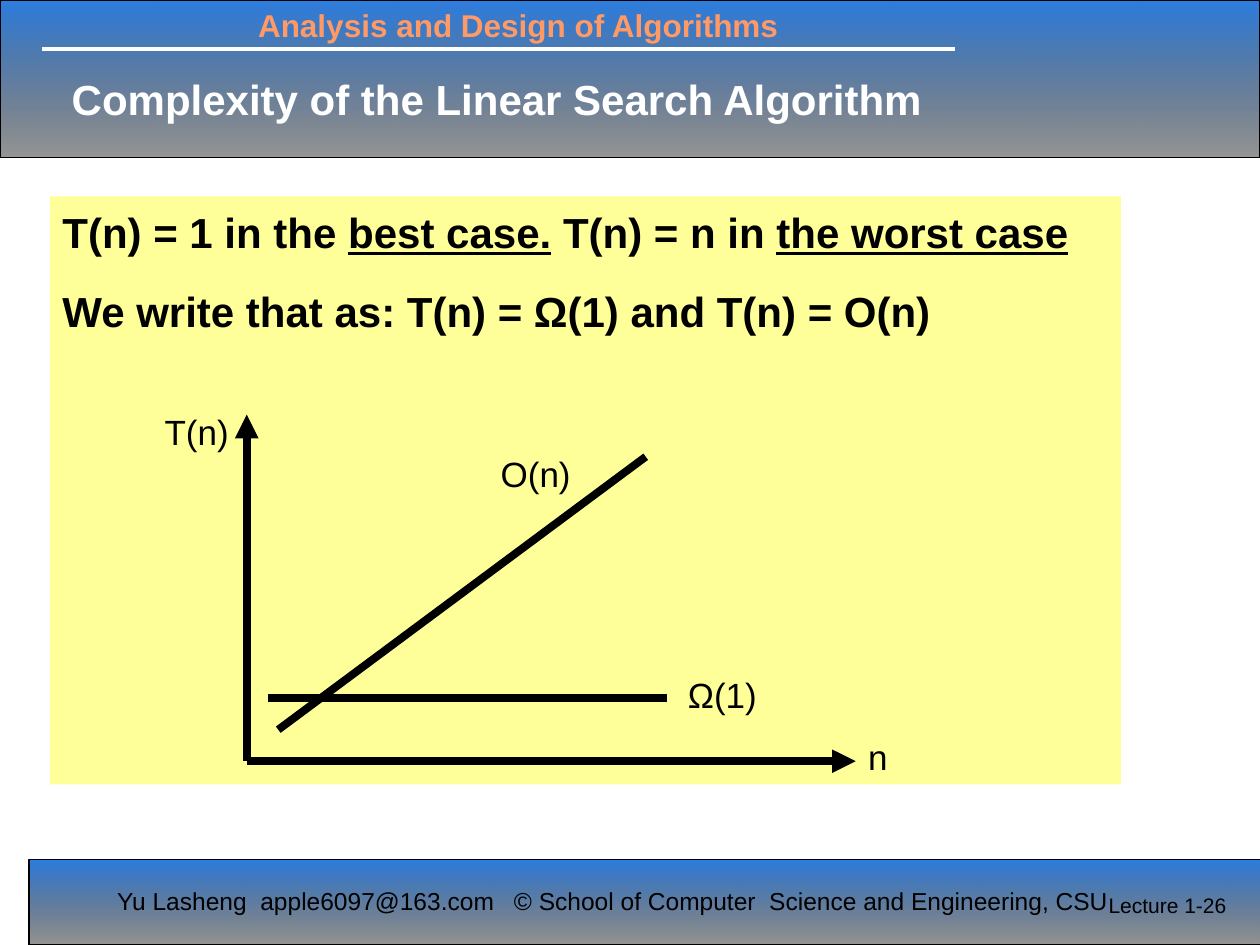
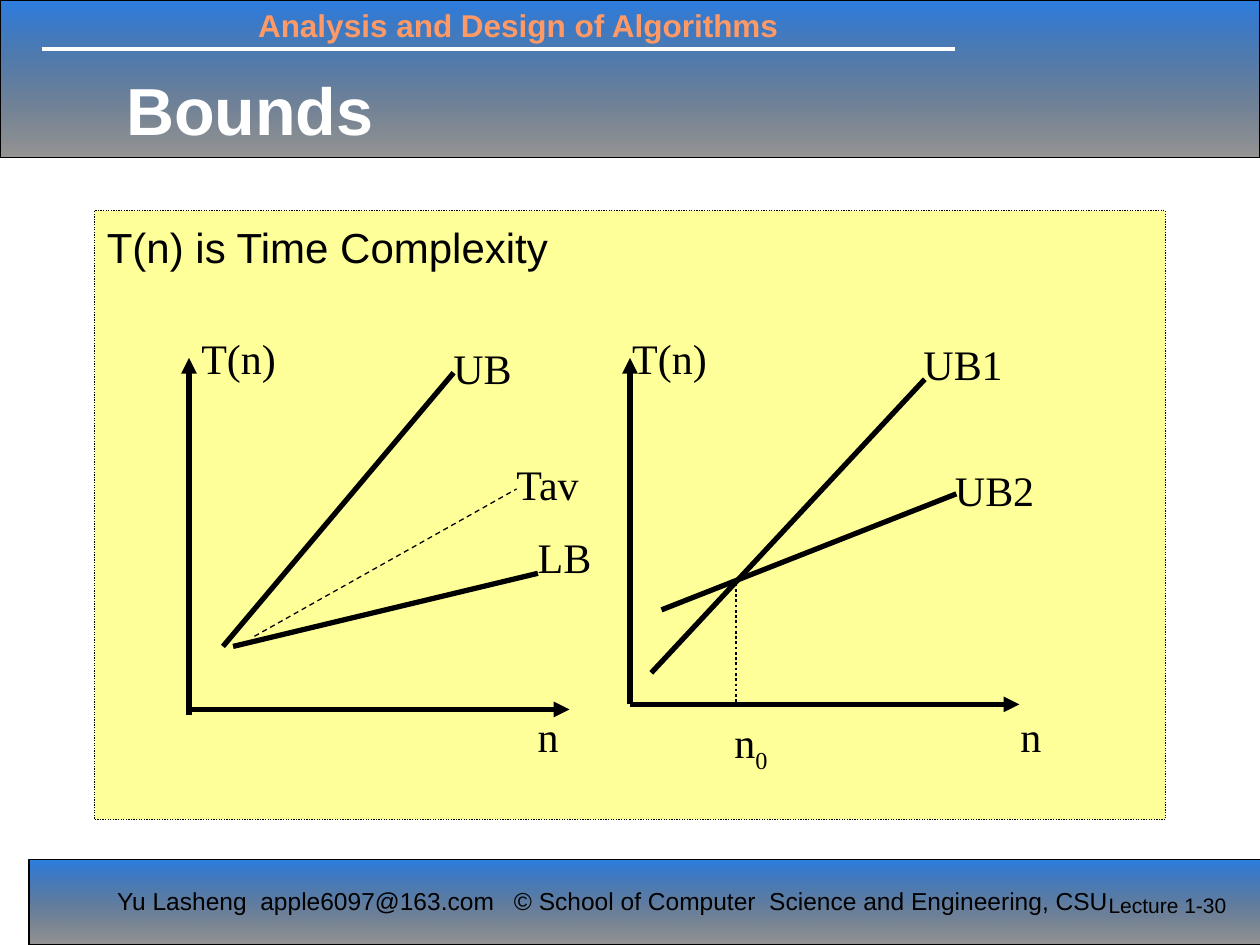
from lxml import etree
from pptx import Presentation
from pptx import util as u
from pptx.dml.color import RGBColor
from pptx.enum import dml, shapes, text
from pptx.oxml import ns

BLUE = RGBColor(0x0E, 0x6B, 0xDC)
BLACK = RGBColor(0, 0, 0)
WHITE = RGBColor(0xFF, 0xFF, 0xFF)
ORANGE = RGBColor(0xFF, 0x99, 0x66)
YELLOW = RGBColor(0xFF, 0xFF, 0x99)
SANS, SERIF = "Arial", "Times New Roman"
DOT, DASH = dml.MSO_LINE.ROUND_DOT, dml.MSO_LINE.DASH
RECT = shapes.MSO_SHAPE.RECTANGLE


def pts(*nums):
    return [u.Pt(n) for n in nums]


def sub(node, tag, **attrs):
    return etree.SubElement(node, ns.qn(tag), **attrs)


class Deck:
    def __init__(self):
        self.prs = Presentation()
        self.prs.slide_width, self.prs.slide_height = pts(720, 540)
        self.slide = None

    def style(self, para, size, color=BLACK, font=SANS, bold=False):
        para.alignment = text.PP_ALIGN.LEFT
        for run in para.runs:
            run.font.size, run.font.name = u.Pt(size), font
            run.font.color.rgb, run.font.bold = color, bold

    def label(self, words, x, y, w, h, size, wrap=False, **look):
        frame = self.slide.shapes.add_textbox(*pts(x, y, w, h)).text_frame
        frame.word_wrap = wrap
        frame.text = words
        self.style(frame.paragraphs[0], size, **look)
        return frame.paragraphs[0]

    def stroke(self, line, width, dash=None, color=BLACK):
        line.color.rgb, line.width = color, u.Pt(width)
        if dash:
            line.dash_style = dash

    def line(self, x1, y1, x2, y2, width, dash=None, color=BLACK, arrow=False):
        link = self.slide.shapes.add_connector(
            shapes.MSO_CONNECTOR.STRAIGHT, *pts(x1, y1, x2, y2))
        self.stroke(link.line, width, dash, color)
        if arrow:
            sub(link.line._get_or_add_ln(), "a:tailEnd", type="triangle")
        sub(link._element.spPr, "a:effectLst")

    def axes(self, x, y, top, right, width, foot=0):
        self.line(x, y + foot, x, top, width, arrow=True)
        self.line(x, y, right, y, width, arrow=True)

    def curve(self, x1, y1, x2, y2, width):
        pen = self.slide.shapes.build_freeform(*pts(x1, y1))
        pen.add_line_segments([pts(x2, y2)], close=True)
        shape = pen.convert_to_shape()
        shape.shadow.inherit = False
        shape.fill.background()
        self.stroke(shape.line, width)
        sub(shape.line._get_or_add_ln(), "a:round")

    def band(self, x, y, w, h):
        shape = self.slide.shapes.add_shape(RECT, *pts(x, y, w, h))
        shape.shadow.inherit = False
        shape.fill.gradient()
        shape.fill.gradient_angle = 270
        stops = shape.fill.gradient_stops
        for stop, color, place in zip(stops, (BLUE, BLACK), (0, 1)):
            stop.color.rgb, stop.position = color, place
        tints = shape._element.spPr.iter(ns.qn("a:srgbClr"))
        for tint, alpha in zip(list(tints), ("88000", "41000")):
            sub(tint, "a:alpha", val=alpha)
        self.stroke(shape.line, 0.75)

    def panel(self, lines, x, y, w, h, bold=False, dash=None):
        """Each line is a list of (words, underlined) pairs."""
        shape = self.slide.shapes.add_shape(RECT, *pts(x, y, w, h))
        shape.shadow.inherit = False
        shape.fill.solid()
        shape.fill.fore_color.rgb = YELLOW
        if dash:
            self.stroke(shape.line, 0.75, dash)
        else:
            shape.line.fill.background()
        frame = shape.text_frame
        frame.word_wrap, frame.margin_top = True, u.Pt(6)
        frame.vertical_anchor = text.MSO_ANCHOR.TOP
        for i, parts in enumerate(lines):
            para = frame.add_paragraph() if i else frame.paragraphs[0]
            if i:
                para.space_before = u.Pt(16)
            for words, under in parts:
                run = para.add_run()
                run.text, run.font.underline = words, under
            self.style(para, 24, bold=bold)

    def title(self, words, x, y, w, h, size):
        head = self.slide.shapes.title
        self.slide.shapes._spTree.append(head._element)  # in front of the band
        head.left, head.top, head.width, head.height = pts(x, y, w, h)
        frame = head.text_frame
        frame.text = words
        frame.word_wrap, frame.auto_size = True, text.MSO_AUTO_SIZE.NONE
        frame.vertical_anchor = text.MSO_ANCHOR.MIDDLE
        self.style(frame.paragraphs[0], size, WHITE, bold=True)

    def page(self, number):
        self.slide = self.prs.slides.add_slide(self.prs.slide_layouts[5])
        # Header and footer bands
        self.band(0, 0, 720, 90)
        self.band(16.6, 491, 720, 49)
        self.line(24, 28, 546, 28, 2.25, color=WHITE)
        self.label("Analysis and Design of Algorithms", 140.4, 0, 360, 29, 18,
                   wrap=True, color=ORANGE, bold=True)
        self.label("Yu Lasheng  apple6097@163.com", 59.8, 502.6, 231, 41, 14)
        self.label("© School of Computer  Science and Engineering, CSU",
                   286.6, 502.6, 368.6, 24.5, 14)
        self.label(f"Lecture 1-{number}", 626.4, 506.2, 85, 36, 12, wrap=True)


def linear(deck):
    deck.page(26)
    deck.title("Complexity of the Linear Search Algorithm",
               33.8, 28, 562.3, 57, 24)
    deck.panel([
        [("T(n) = 1 in the ", False), ("best case.", True),
         (" T(n) = n in ", False), ("the worst case", True)],
        [("We write that as: T(n) = Ω(1) and T(n) = O(n)", False)],
    ], 28.6, 112.2, 612, 336, bold=True)
    # Axes and growth lines
    deck.axes(141, 435, 237, 489, 4.5)
    deck.line(159, 417, 369, 261, 4.5)
    deck.line(153, 399, 381, 399, 4.5)
    for words, x, y, w in (("T(n)", 87, 231, 52.6), ("n", 489, 417, 26.6),
                           ("O(n)", 279, 255, 55.4), ("Ω(1)", 386, 381.5, 54)):
        deck.label(words, x, y, w, 31, 20)


def bounds(deck):
    deck.page(30)
    deck.title("Bounds", 64.8, 26, 612, 72, 38)
    deck.panel([[("T(n) is Time Complexity", False)]],
               54, 120.4, 612, 348, dash=DOT)
    # Left graph: upper, lower and average bounds
    deck.axes(108, 405.4, 204.5, 325.4, 3, foot=3)
    deck.line(127.4, 369.4, 259.2, 213, 3)
    deck.line(133.2, 369.4, 307.4, 327.6, 3)
    deck.line(145.4, 363.6, 295.2, 279.4, 0.75, DASH)
    # Right graph: two upper bounds that cross at n0
    deck.axes(360, 402.5, 204.5, 582.5, 3)
    deck.curve(372.2, 384.5, 528.5, 216.7, 3)
    deck.line(378, 348.5, 546.5, 282.2, 3)
    deck.line(420.5, 330.5, 420.5, 402.5, 1.5, DOT)
    # Graph labels
    for words, x, y, w in (
            ("T(n)", 108, 186.5, 59.8), ("T(n)", 354.2, 186.5, 59.8),
            ("n", 300.2, 402.5, 28), ("n", 576, 402.5, 28),
            ("UB", 252, 192.2, 47.5), ("LB", 300.2, 300.2, 46.8),
            ("Tav", 288, 258.5, 54.7), ("UB1", 520.6, 190, 59.8),
            ("UB2", 538.6, 262, 59.8)):
        deck.label(words, x, y, w, 36, 24, font=SERIF)
    cross = deck.label("n", 412.6, 406, 36, 36, 24, font=SERIF)
    low = cross.add_run()
    low.text = "0"
    deck.style(cross, 24, font=SERIF)
    low.font._element.set("baseline", "-25000")


def main():
    deck = Deck()
    linear(deck)
    bounds(deck)
    deck.prs.save("out.pptx")


if __name__ == "__main__":
    main()
